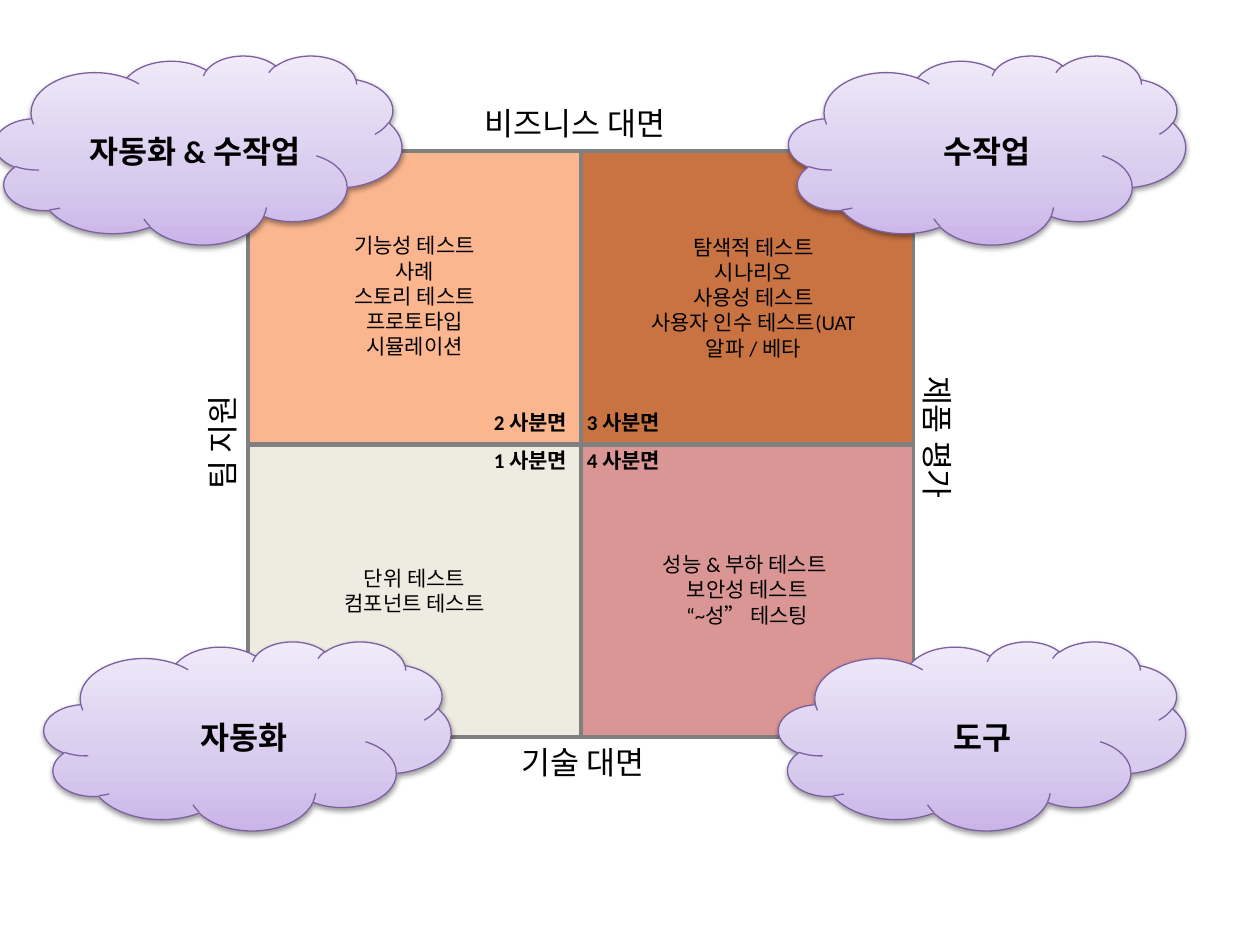
import copy
import pptx
import pptx.util
import pptx.dml.color
import pptx.enum.shapes
import pptx.enum.text
import pptx.oxml
from pptx.util import Inches

COLORS = {
    "text": "000000", "border": "808080", "cloud_line": "7D60A0",
    "q1": "EEECE1", "q2": "FBB68F", "q3": "C97343", "q4": "D99694",
}
CLOUD_STOPS = [(0, "C9B5E8"), (0.35, "D8CBEE"), (1, "F0EAF9")]
CLOUD_SHADOW = (
    '<a:effectLst xmlns:a="http://schemas.openxmlformats.org/drawingml/2006/main">'
    '<a:outerShdw blurRad="40000" dist="20000" dir="5400000" rotWithShape="0">'
    '<a:srgbClr val="000000"><a:alpha val="38000"/></a:srgbClr>'
    '</a:outerShdw></a:effectLst>')
SHAPE = pptx.enum.shapes.MSO_SHAPE
ALIGN = pptx.enum.text.PP_ALIGN


def rgb(value):
    return pptx.dml.color.RGBColor.from_string(value)


def add_text(s, box, lines, size, bold=False, align=ALIGN.CENTER, rotation=0):
    tb = s.shapes.add_textbox(*map(Inches, box))
    tb.rotation = rotation
    tf = tb.text_frame
    tf.word_wrap = True
    tf.text = "\n".join(lines)
    for p in tf.paragraphs:
        p.alignment = align
        for r in p.runs:
            r.font.name = "Calibri"
            r.font.size = pptx.util.Pt(size)
            r.font.bold = bold
            r.font.color.rgb = rgb(COLORS["text"])
    return tb


def add_quadrant(s, box, number, items, items_top, items_shift, items_width):
    left, top, width, height = box
    sp = s.shapes.add_shape(SHAPE.RECTANGLE, *map(Inches, box))
    sp.shadow.inherit = False
    sp.fill.solid()
    sp.fill.fore_color.rgb = rgb(COLORS[f"q{number}"])
    sp.line.color.rgb = rgb(COLORS["border"])
    sp.line.width = pptx.util.Pt(2)

    # Test types
    items_left = left + (width - items_width) / 2 + items_shift
    add_text(s, (items_left, top + items_top, items_width, 0.25 * len(items)),
             items, 12)

    # Quadrant number in the inner corner
    on_left, on_top = number in (1, 2), number in (2, 3)
    label_left = left + width - 1.03 if on_left else left - 0.05
    label_top = top + height - 0.32 if on_top else top - 0.03
    add_text(s, (label_left, label_top, 1.02, 0.3), [f"{number} 사분면"], 12,
             True, ALIGN.RIGHT if on_left else ALIGN.LEFT)


def add_cloud(s, box, label):
    left, top, width, height = box
    sp = s.shapes.add_shape(SHAPE.CLOUD, *map(Inches, box))
    sp.line.color.rgb = rgb(COLORS["cloud_line"])
    sp.line.width = pptx.util.Pt(0.75)
    sp.fill.gradient()
    sp.fill.gradient_angle = 90
    gs_list = sp._element.spPr.find(".//" + pptx.oxml.ns.qn("a:gsLst"))
    gs_list.append(copy.deepcopy(gs_list[-1]))
    for stop, (position, color) in zip(sp.fill.gradient_stops, CLOUD_STOPS):
        stop.position = position
        stop.color.rgb = rgb(color)
    sp._element.spPr.append(pptx.oxml.parse_xml(CLOUD_SHADOW))
    add_text(s, (left + 0.55, top + 0.56, width - 1.1, 0.4), [label], 18, True)


def add_matrix(s, left, top):
    width, height, pitch = 2.64, 2.32, 2.33
    quadrants = [
        (0, 0, 2, ["기능성 테스트", "사례", "스토리 테스트", "프로토타입",
                   "시뮬레이션"], 0.6, 0, 1.42),
        (1, 0, 3, ["탐색적 테스트", "시나리오", "사용성 테스트",
                   "사용자 인수 테스트(UAT", "알파 / 베타"], 0.61, 0.05, 2.13),
        (1, 1, 4, ["성능 & 부하 테스트 ", "보안성 테스트", "“~성” 테스팅"],
         0.8, 0, 1.69),
        (0, 1, 1, ["단위 테스트", "컴포넌트 테스트"], 0.91, 0, 1.42),
    ]
    for col, row, *content in quadrants:
        box = (left + col * width, top + row * pitch, width, height)
        add_quadrant(s, box, *content)

    # Axis captions
    for box, caption, rotation in [
            ((1.06, -0.42, 3.07, 0.4), "비즈니스 대면", 0),
            ((1.36, 4.65, 2.6, 0.4), "기술 대면", 0),
            ((4.31, 2.1, 2.32, 0.4), "제품 평가 ", 90),
            ((-1.47, 2.11, 2.52, 0.4), "팀 지원", 270)]:
        x, y, w, h = box
        add_text(s, (left + x, top + y, w, h), [caption], 18, rotation=rotation)


prs = pptx.Presentation()
prs.slide_width, prs.slide_height = Inches(10), Inches(7.5)
s = prs.slides.add_slide(prs.slide_layouts[6])

add_matrix(s, 1.97, 1.2)

# Clouds over the outer corners
for x, y, w, label in [(-0.04, 0.44, 3.23, "자동화 & 수작업 "),
                       (6.26, 0.44, 3.15, "수작업"),
                       (0.35, 5.09, 3.23, "자동화 "),
                       (6.18, 5.09, 3.23, "도구")]:
    add_cloud(s, (x, y, w, 1.5), label)

prs.save("out.pptx")
